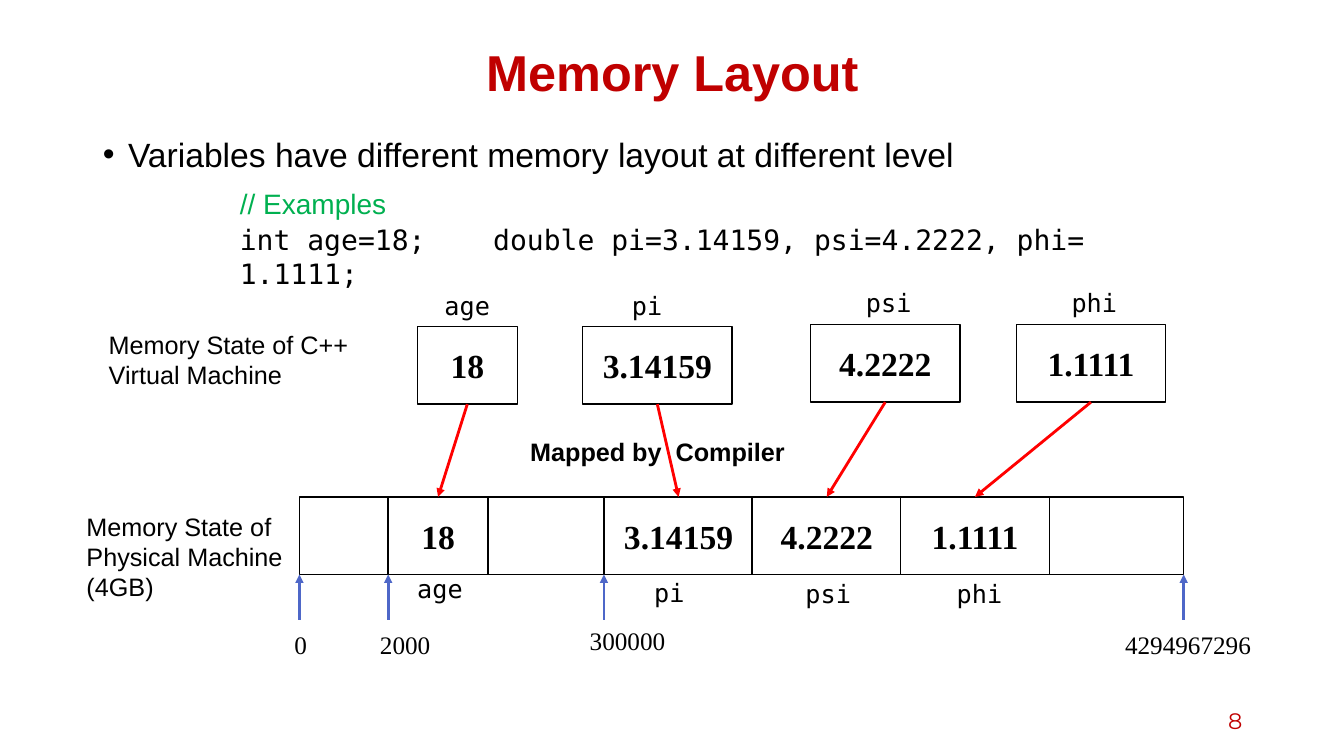
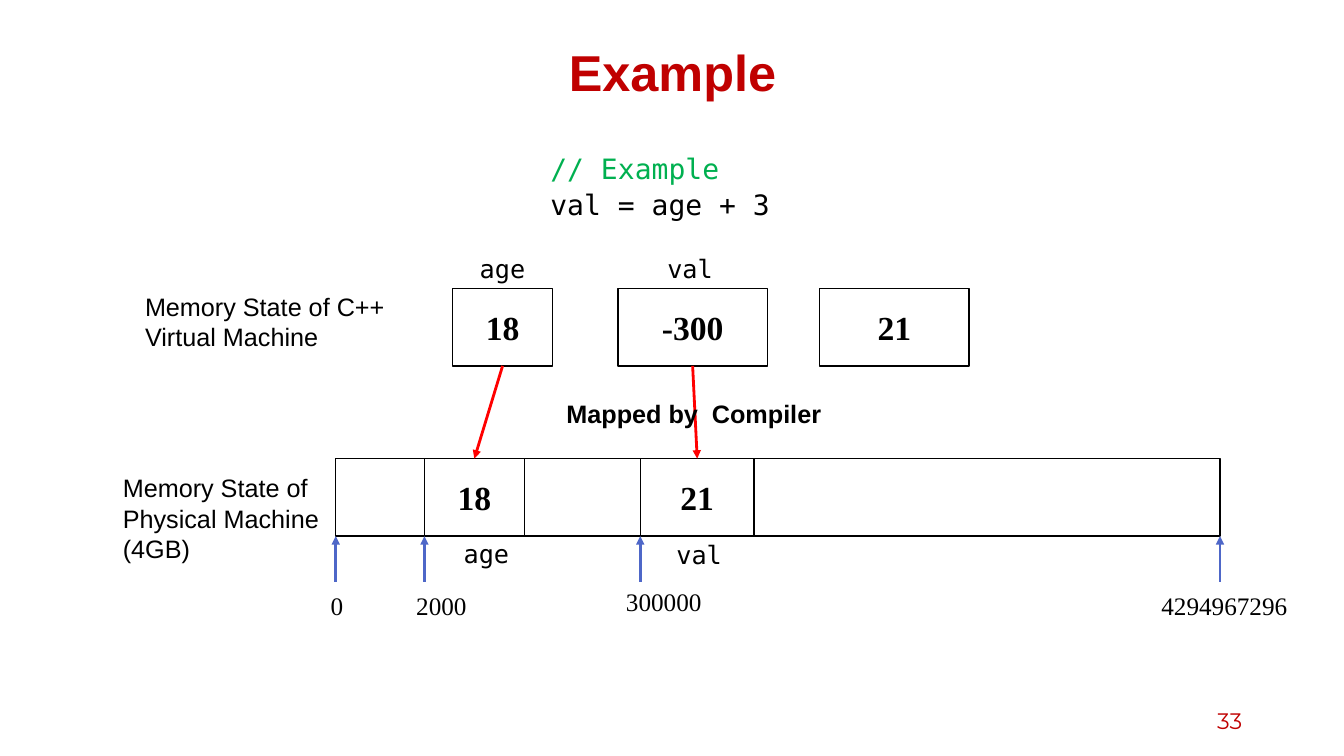
"""Build two slides that map program variables to physical memory."""

from dataclasses import dataclass

import lxml.etree
import pptx
import pptx.dml.color
import pptx.enum.shapes
import pptx.enum.text
import pptx.oxml.ns
import pptx.shapes.autoshape
import pptx.shapes.connector
import pptx.slide
import pptx.text.text
import pptx.util

Inches = pptx.util.Inches
Align = pptx.enum.text.PP_ALIGN
Anchor = pptx.enum.text.MSO_ANCHOR
AutoSize = pptx.enum.text.MSO_AUTO_SIZE

COLORS = {
    "title": "C00000",
    "text": "000000",
    "paper": "FFFFFF",
    "comment": "00B050",
    "mapping": "FF0000",
    "address": "4E67C8",
}
SANS = "Arial"
MONO = "DejaVu Sans Mono"
SERIF = "Times New Roman"
STRIP_WIDTH = 8.77
CELL_HEIGHT = 0.77
LABEL_HEIGHT = 0.4


@dataclass(frozen=True)
class TextStyle:
    font: str
    size: int
    color: str = "text"
    bold: bool = False
    align: Align = Align.LEFT
    space_before: int = 0
    line_spacing: float = 1.0


@dataclass(frozen=True)
class Box:
    left: float
    top: float
    width: float
    height: float


@dataclass(frozen=True)
class Cell:
    """A memory cell placed relative to the strip, its name relative to the cell."""

    left: float
    top: float
    width: float
    value: str
    name: str = ""
    name_left: float = 0
    name_top: float = 0


@dataclass(frozen=True)
class Address:
    offset: float
    text: str
    label_left: float
    label_top: float
    label_width: float


@dataclass(frozen=True)
class Mapping:
    virtual: Cell
    physical: Cell


TITLE = TextStyle(SANS, 36, "title", True, Align.CENTER, line_spacing=0.9)
BULLET = TextStyle(SANS, 24, space_before=10, line_spacing=0.9)
NUMBER = TextStyle("Montserrat", 16, "title", align=Align.RIGHT)
VALUE = TextStyle(SERIF, 24, bold=True, align=Align.CENTER)
NAME = TextStyle(MONO, 18)
ADDRESS = TextStyle(SERIF, 18)
CAPTION = TextStyle(SANS, 18)
MAPPED = TextStyle(SANS, 18, bold=True)
CODE = TextStyle(MONO, 20, space_before=2)
SANS_COMMENT = TextStyle(SANS, 20, "comment", space_before=2)
MONO_COMMENT = TextStyle(MONO, 20, "comment", space_before=2)

ADDRESSES = [
    Address(0, "0", -0.15, 1.26, 0.55),
    Address(0.88, "2000", 0.7, 1.26, 0.87),
    Address(3.02, "300000", 2.78, 1.22, 0.95),
    Address(STRIP_WIDTH, "4294967296", 8.09, 1.26, 1.66),
]
CAPTIONS = [
    (Box(-2.21, 0.09, 2.37, 1.01), ["Memory State of Physical Machine", "(4GB)"], CAPTION),
    (Box(-1.99, -1.71, 2.6, 0.71), ["Memory State of C++ Virtual Machine"], CAPTION),
    (Box(2.19, -0.65, 3.35, LABEL_HEIGHT), ["Mapped by  Compiler"], MAPPED),
]
LAYOUT_MAPPINGS = [
    Mapping(
        Cell(1.17, -1.69, 0.99, "18", "age", 0.17, -0.41),
        Cell(0.88, 0, 0.99, "18", "age", 0.19, 0.71),
    ),
    Mapping(
        Cell(2.81, -1.69, 1.48, "3.14159", "pi", 0.39, -0.41),
        Cell(3.02, 0, 1.48, "3.14159", "pi", 0.4, 0.75),
    ),
    Mapping(
        Cell(5.07, -1.71, 1.48, "4.2222", "psi", 0.45, -0.42),
        Cell(4.49, 0, 1.48, "4.2222", "psi", 0.43, 0.76),
    ),
    Mapping(
        Cell(7.11, -1.71, 1.48, "1.1111", "phi", 0.45, -0.42),
        Cell(5.96, 0, 1.48, "1.1111", "phi", 0.46, 0.76),
    ),
]
EXAMPLE_MAPPINGS = [
    Mapping(
        Cell(1.16, -1.69, 0.99, "18", "age", 0.17, -0.4),
        Cell(0.88, 0, 0.99, "18", "age", 0.29, 0.74),
    ),
    Mapping(
        Cell(2.8, -1.69, 1.48, "-300", "val", 0.39, -0.4),
        Cell(3.02, 0, 1.13, "21", "val", 0.26, 0.75),
    ),
]
EXAMPLE_RESULT = Cell(4.8, -1.69, 1.48, "21")


def rgb(name: str) -> pptx.dml.color.RGBColor:
    return pptx.dml.color.RGBColor.from_string(COLORS[name])


def style_paragraph(paragraph: pptx.text.text._Paragraph, style: TextStyle) -> None:
    paragraph.alignment = style.align
    paragraph.line_spacing = style.line_spacing
    paragraph.space_before = pptx.util.Pt(style.space_before)
    paragraph.font.name = style.font
    paragraph.font.size = pptx.util.Pt(style.size)
    paragraph.font.bold = style.bold
    paragraph.font.color.rgb = rgb(style.color)


def add_text(
    slide: pptx.slide.Slide, box: Box, lines: list[str], *styles: TextStyle
) -> pptx.text.text.TextFrame:
    shape = slide.shapes.add_textbox(
        Inches(box.left), Inches(box.top), Inches(box.width), Inches(box.height)
    )
    frame = shape.text_frame
    frame.word_wrap = True
    frame.auto_size = AutoSize.SHAPE_TO_FIT_TEXT
    frame.text = "\n".join(lines)
    for index, paragraph in enumerate(frame.paragraphs):
        style_paragraph(paragraph, styles[min(index, len(styles) - 1)])
    return frame


def fill_placeholder(
    shape: pptx.shapes.autoshape.Shape, box: Box, text: str, style: TextStyle, anchor: Anchor
) -> None:
    shape.left, shape.top = Inches(box.left), Inches(box.top)
    shape.width, shape.height = Inches(box.width), Inches(box.height)
    frame = shape.text_frame
    frame.text = text
    frame.auto_size = AutoSize.NONE
    frame.vertical_anchor = anchor
    style_paragraph(frame.paragraphs[0], style)


def add_bullet(slide: pptx.slide.Slide, text: str) -> None:
    body = slide.placeholders[1]
    fill_placeholder(body, Box(0.92, 1.32, 11.5, 5.51), text, BULLET, Anchor.TOP)
    properties = body.text_frame.paragraphs[0]._p.get_or_add_pPr()
    properties.set("marL", str(Inches(0.25)))
    properties.set("indent", str(Inches(-0.25)))


def add_rectangle(slide: pptx.slide.Slide, box: Box) -> pptx.shapes.autoshape.Shape:
    shape = slide.shapes.add_shape(
        pptx.enum.shapes.MSO_SHAPE.RECTANGLE,
        Inches(box.left), Inches(box.top), Inches(box.width), Inches(box.height),
    )
    shape.shadow.inherit = False
    shape.fill.solid()
    shape.fill.fore_color.rgb = rgb("paper")
    shape.line.color.rgb = rgb("text")
    shape.line.width = pptx.util.Pt(1)
    return shape


def add_cell(
    slide: pptx.slide.Slide, left: float, top: float, cell: Cell
) -> pptx.shapes.autoshape.Shape:
    cell_left, cell_top = left + cell.left, top + cell.top
    shape = add_rectangle(slide, Box(cell_left, cell_top, cell.width, CELL_HEIGHT))
    frame = shape.text_frame
    frame.text = cell.value
    frame.vertical_anchor = Anchor.MIDDLE
    style_paragraph(frame.paragraphs[0], VALUE)
    if cell.name:
        name_box = Box(
            cell_left + cell.name_left, cell_top + cell.name_top, 0.87, LABEL_HEIGHT
        )
        add_text(slide, name_box, [cell.name], NAME)
    return shape


def add_arrow(
    slide: pptx.slide.Slide, start: tuple[float, float], end: tuple[float, float], color: str
) -> pptx.shapes.connector.Connector:
    connector = slide.shapes.add_connector(
        pptx.enum.shapes.MSO_CONNECTOR.STRAIGHT,
        Inches(start[0]), Inches(start[1]), Inches(end[0]), Inches(end[1]),
    )
    connector.line.color.rgb = rgb(color)
    connector.line.width = pptx.util.Pt(2)
    qn = pptx.oxml.ns.qn
    properties = connector.element.spPr
    lxml.etree.SubElement(properties.find(qn("a:ln")), qn("a:tailEnd"), type="triangle")
    lxml.etree.SubElement(properties, qn("a:effectLst"))
    return connector


def add_memory(
    slide: pptx.slide.Slide, left: float, top: float, mappings: list[Mapping]
) -> None:
    add_rectangle(slide, Box(left, top, STRIP_WIDTH, CELL_HEIGHT))
    for mapping in mappings:
        physical = add_cell(slide, left, top, mapping.physical)
        virtual = add_cell(slide, left, top, mapping.virtual)
        arrow = add_arrow(slide, (left, top), (left, top), "mapping")
        arrow.begin_connect(virtual, 2)
        arrow.end_connect(physical, 0)
    strip_bottom = top + CELL_HEIGHT
    for address in ADDRESSES:
        x = left + address.offset
        add_arrow(slide, (x, strip_bottom + 0.45), (x, strip_bottom), "address")
        label = Box(
            left + address.label_left, top + address.label_top,
            address.label_width, LABEL_HEIGHT,
        )
        add_text(slide, label, [address.text], ADDRESS)
    for box, lines, style in CAPTIONS:
        placed = Box(left + box.left, top + box.top, box.width, box.height)
        add_text(slide, placed, lines, style)


def add_slide(
    presentation: pptx.presentation.Presentation, layout: int, title: str, number: str
) -> pptx.slide.Slide:
    slide = presentation.slides.add_slide(presentation.slide_layouts[layout])
    fill_placeholder(
        slide.shapes.title, Box(0.92, 0.4, 11.5, 0.7), title, TITLE, Anchor.MIDDLE
    )
    frame = add_text(slide, Box(9.42, 6.95, 3, 0.4), [number], NUMBER)
    frame.auto_size = AutoSize.NONE
    frame.vertical_anchor = Anchor.MIDDLE
    return slide


def main() -> None:
    presentation = pptx.Presentation()
    presentation.slide_width = Inches(13.33)
    presentation.slide_height = Inches(7.5)

    layout_slide = add_slide(presentation, 1, "Memory Layout", "8")
    add_bullet(layout_slide, "Variables have different memory layout at different level")
    add_memory(layout_slide, 2.97, 4.93, LAYOUT_MAPPINGS)
    declaration = "int age=18;    double pi=3.14159, psi=4.2222, phi= 1.1111;"
    code_box = Box(2.28, 1.8, 9.19, 0.81)
    add_text(layout_slide, code_box, ["// Examples", declaration], SANS_COMMENT, CODE)

    example_slide = add_slide(presentation, 5, "Example", "33")
    add_memory(example_slide, 3.33, 4.55, EXAMPLE_MAPPINGS)
    add_cell(example_slide, 3.33, 4.55, EXAMPLE_RESULT)
    code_box = Box(5.36, 1.45, 3.51, 0.81)
    add_text(example_slide, code_box, ["// Example", "val = age + 3"], MONO_COMMENT, CODE)

    presentation.save("out.pptx")


if __name__ == "__main__":
    main()
